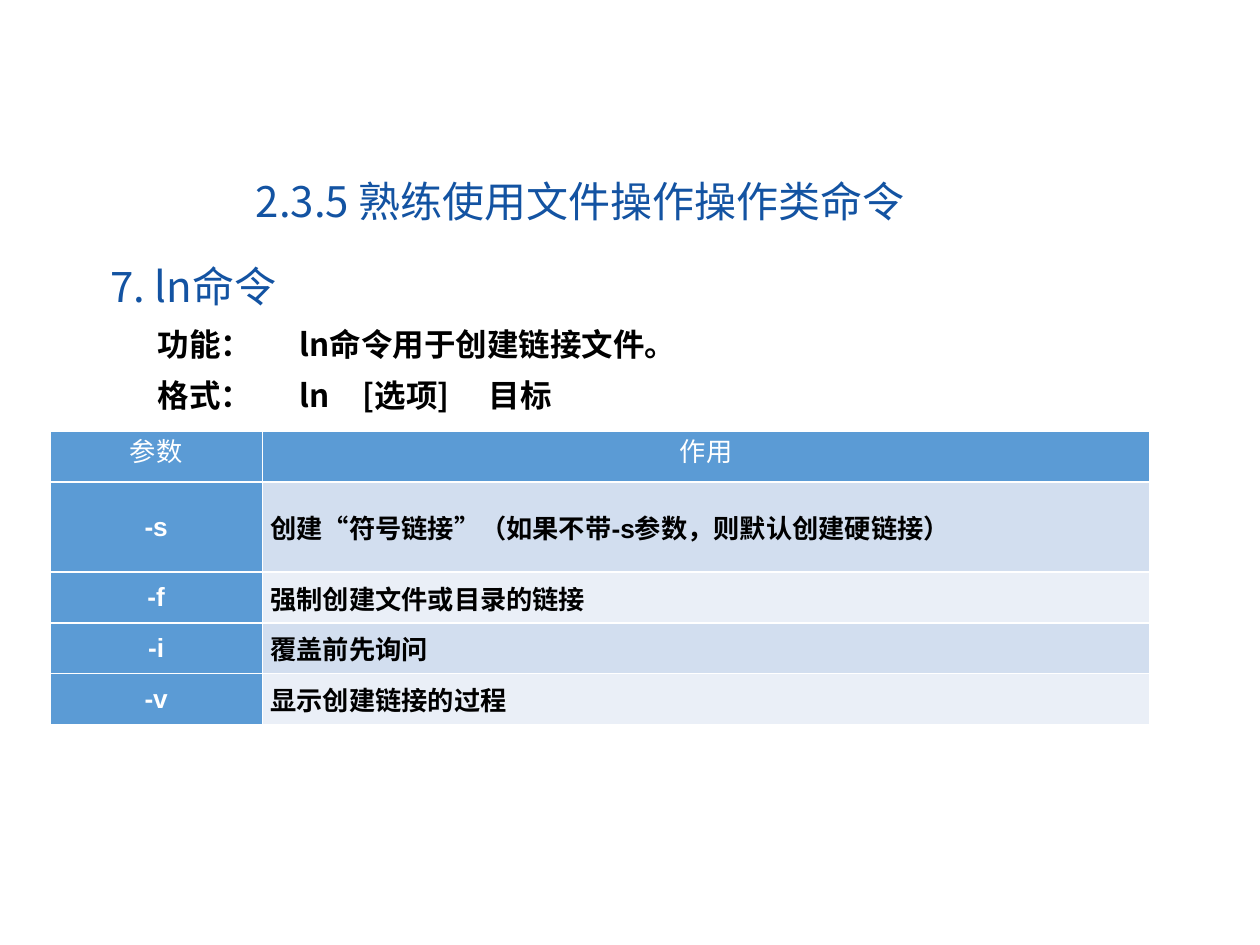
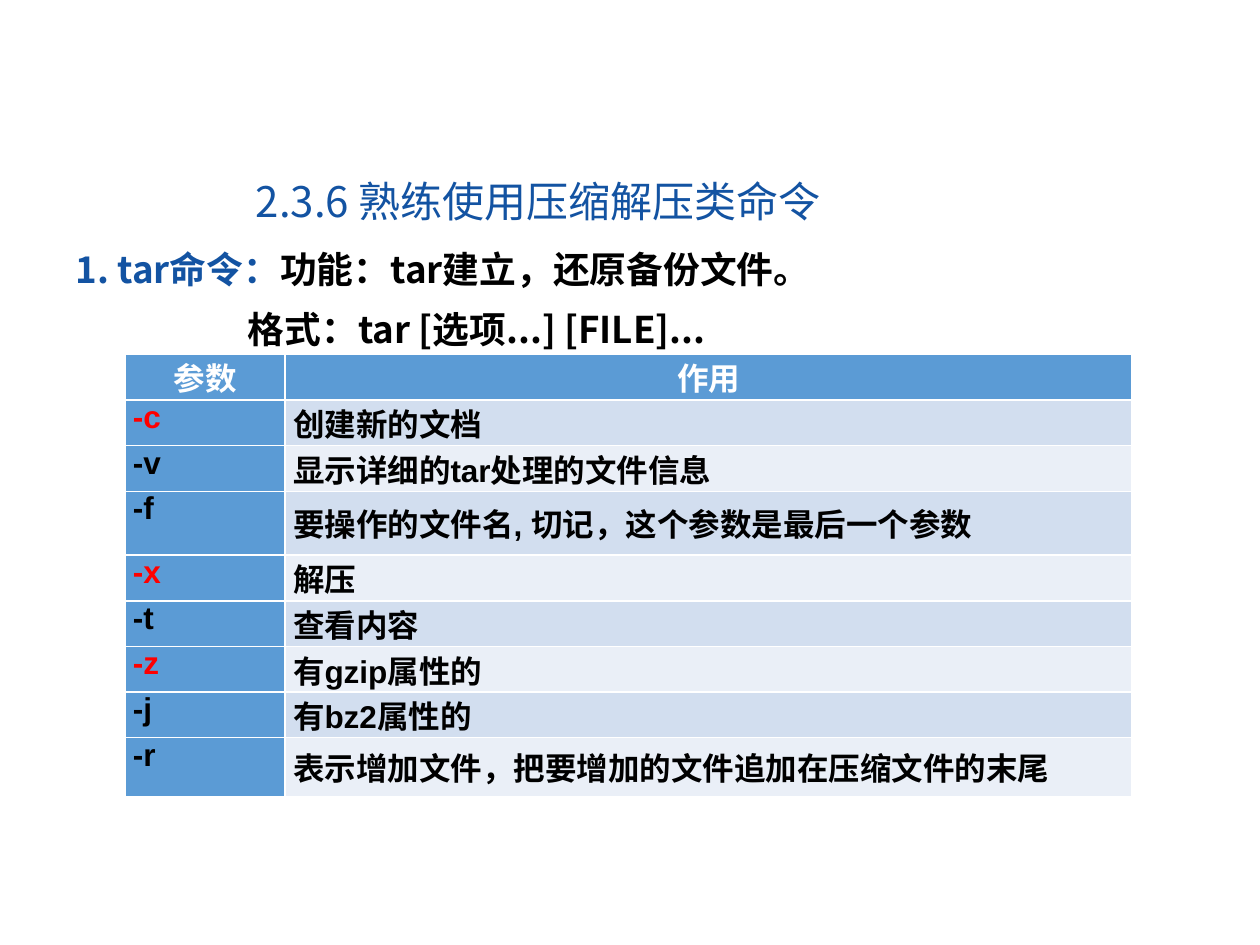
from dataclasses import dataclass, field

from lxml.etree import SubElement
from pptx import Presentation
from pptx.dml.color import RGBColor
from pptx.enum.text import MSO_ANCHOR, MSO_AUTO_SIZE, PP_ALIGN
from pptx.oxml import parse_xml
from pptx.oxml.ns import nsdecls, qn
from pptx.util import Pt

BLUE = RGBColor(0x13, 0x53, 0xA2)
BLACK = RGBColor(0, 0, 0)
WHITE = RGBColor(0xFF, 0xFF, 0xFF)
RED = RGBColor(0xFF, 0, 0)
HEADER_FILL = RGBColor(0x5B, 0x9B, 0xD5)
BAND_FILLS = (RGBColor(0xD2, 0xDE, 0xEF), RGBColor(0xEA, 0xEF, 0xF7))

CJK_FONT = "Noto Sans CJK SC"
TABLE_FONT = "Arial"
TITLE_BOX = (139, 96.5, 407, 36)
LINE_SPACING = 1.35


@dataclass
class Span:
    text: str
    color: RGBColor = BLACK
    bold: bool = True


@dataclass
class Line:
    spans: list[Span]
    size: float
    indent: float = 0
    spacing: float = 1
    tabs: tuple[float, ...] = ()


@dataclass
class Option:
    flag: str
    effect: str
    height: float
    color: RGBColor = BLACK


@dataclass
class OptionTable:
    left: float
    top: float
    widths: tuple[float, float]
    header_height: float
    size: float
    header_bold: bool
    flag_align: PP_ALIGN
    flag_anchor: MSO_ANCHOR
    options: list[Option]


@dataclass
class CommandSlide:
    title: str
    body_box: tuple[float, float, float, float]
    table: OptionTable
    lines: list[Line] = field(default_factory=list)


SLIDES = [
    CommandSlide(
        title="2.3.5 熟练使用文件操作操作类命令",
        body_box=(56, 145.5, 619, 200),
        lines=[
            Line([Span("7. ln命令", BLUE, False)], 24),
            Line([Span("功能：\tln命令用于创建链接文件。")], 18, 27, LINE_SPACING, (93.5,)),
            Line([Span("格式：\tln\t[选项]\t目标")], 18, 27, LINE_SPACING, (93.5, 127.5, 202)),
        ],
        table=OptionTable(
            28.5, 246.5, (121.5, 507), 29, 15, False, PP_ALIGN.CENTER, MSO_ANCHOR.MIDDLE,
            [
                Option("-s", "创建“符号链接”（如果不带-s参数，则默认创建硬链接）", 51.5, WHITE),
                Option("-f", "强制创建文件或目录的链接", 29, WHITE),
                Option("-i", "覆盖前先询问", 29, WHITE),
                Option("-v", "显示创建链接的过程", 29, WHITE),
            ],
        ),
    ),
    CommandSlide(
        title="2.3.6 熟练使用压缩解压类命令",
        body_box=(36, 137.5, 596, 63.5),
        lines=[
            Line([Span("1. tar命令：", BLUE), Span("功能：tar建立，还原备份文件。")], 21),
            Line([Span("格式：tar [选项...] [FILE]...")], 21, 98.5, LINE_SPACING),
        ],
        table=OptionTable(
            71.5, 202.5, (91.5, 484), 25.2, 18, True, PP_ALIGN.JUSTIFY, MSO_ANCHOR.TOP,
            [
                Option("-c", "创建新的文档", 25.2, RED),
                Option("-v", "显示详细的tar处理的文件信息", 25.2),
                Option("-f", "要操作的文件名, 切记，这个参数是最后一个参数", 36.5),
                Option("-x", "解压", 25.2, RED),
                Option("-t", "查看内容", 25.2),
                Option("-z", "有gzip属性的", 25.2, RED),
                Option("-j", "有bz2属性的", 25.2),
                Option("-r", "表示增加文件，把要增加的文件追加在压缩文件的末尾", 33.5),
            ],
        ),
    ),
]


def add_span(para, span: Span, size: float, latin: str = CJK_FONT) -> None:
    run = para.add_run()
    run.text = span.text
    font = run.font
    font.size, font.bold, font.name = Pt(size), span.bold, latin
    font.color.rgb = span.color
    run._r.get_or_add_rPr().find(qn("a:latin")).addnext(
        parse_xml(f'<a:ea {nsdecls("a")} typeface="{CJK_FONT}"/>'))


def place(shape, box: tuple[float, float, float, float]):
    """Move a placeholder and return its text frame, anchored at the top."""
    shape.left, shape.top, shape.width, shape.height = map(Pt, box)
    frame = shape.text_frame
    frame.word_wrap = True
    frame.auto_size = MSO_AUTO_SIZE.NONE
    frame.vertical_anchor = MSO_ANCHOR.TOP
    return frame


def add_line(para, line: Line) -> None:
    para.alignment = PP_ALIGN.LEFT
    para.space_before = para.space_after = Pt(0)
    para.line_spacing = line.spacing
    properties = para._p.get_or_add_pPr()
    properties.set("marL", "0")
    properties.set("indent", str(Pt(line.indent)))
    SubElement(properties, qn("a:buNone"))
    if line.tabs:
        stops = SubElement(properties, qn("a:tabLst"))
        for position in line.tabs:
            SubElement(stops, qn("a:tab"), pos=str(Pt(position)), algn="l")
    for span in line.spans:
        add_span(para, span, line.size)


def add_borders(cell) -> None:
    properties = cell._tc.get_or_add_tcPr()
    for index, side in enumerate("LRTB"):
        properties.insert(index, parse_xml(
            f'<a:ln{side} {nsdecls("a")} w="{Pt(1)}"><a:solidFill>'
            f'<a:srgbClr val="{WHITE}"/></a:solidFill></a:ln{side}>'))


def fill_cell(cell, span: Span, size: float, fill: RGBColor,
              align: PP_ALIGN, anchor: MSO_ANCHOR) -> None:
    cell.fill.solid()
    cell.fill.fore_color.rgb = fill
    add_borders(cell)
    cell.margin_left = cell.margin_right = Pt(4.5)
    cell.margin_top = cell.margin_bottom = 0
    cell.vertical_anchor = anchor
    para = cell.text_frame.paragraphs[0]
    para.alignment = align
    add_span(para, span, size, TABLE_FONT)


def add_option_table(page, spec_table: OptionTable) -> None:
    options = spec_table.options
    heights = [spec_table.header_height] + [option.height for option in options]
    table = page.shapes.add_table(
        len(heights), 2, Pt(spec_table.left), Pt(spec_table.top),
        Pt(sum(spec_table.widths)), Pt(sum(heights))).table
    for column, width in zip(table.columns, spec_table.widths):
        column.width = Pt(width)
    for row, height in zip(table.rows, heights):
        row.height = Pt(height)
    size = spec_table.size
    for column, heading in enumerate(("参数", "作用")):
        fill_cell(table.cell(0, column), Span(heading, WHITE, spec_table.header_bold), size,
                  HEADER_FILL, PP_ALIGN.CENTER, MSO_ANCHOR.TOP)
    for index, option in enumerate(options):
        fill_cell(table.cell(index + 1, 0), Span(option.flag, option.color), size,
                  HEADER_FILL, spec_table.flag_align, spec_table.flag_anchor)
        fill_cell(table.cell(index + 1, 1), Span(option.effect), size,
                  BAND_FILLS[index % 2], PP_ALIGN.LEFT, MSO_ANCHOR.MIDDLE)


def add_command_slide(deck, content: CommandSlide) -> None:
    page = deck.slides.add_slide(deck.slide_layouts[1])
    title = place(page.shapes.title, TITLE_BOX)
    add_line(title.paragraphs[0], Line([Span(content.title, BLUE, False)], 24))
    body = place(page.placeholders[1], content.body_box)
    for index, line in enumerate(content.lines):
        add_line(body.add_paragraph() if index else body.paragraphs[0], line)
    add_option_table(page, content.table)


def main() -> None:
    deck = Presentation()
    deck.slide_width, deck.slide_height = Pt(720), Pt(540)
    for content in SLIDES:
        add_command_slide(deck, content)
    deck.save("out.pptx")


if __name__ == "__main__":
    main()
